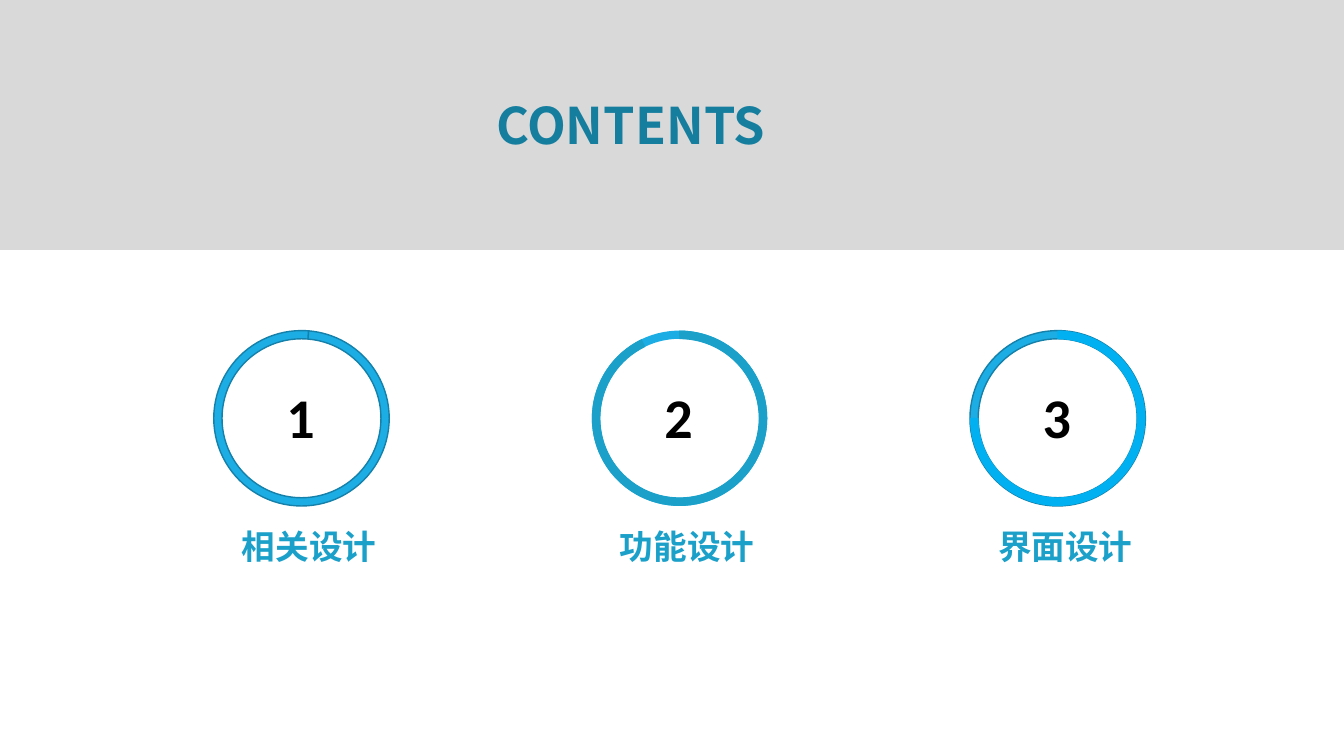
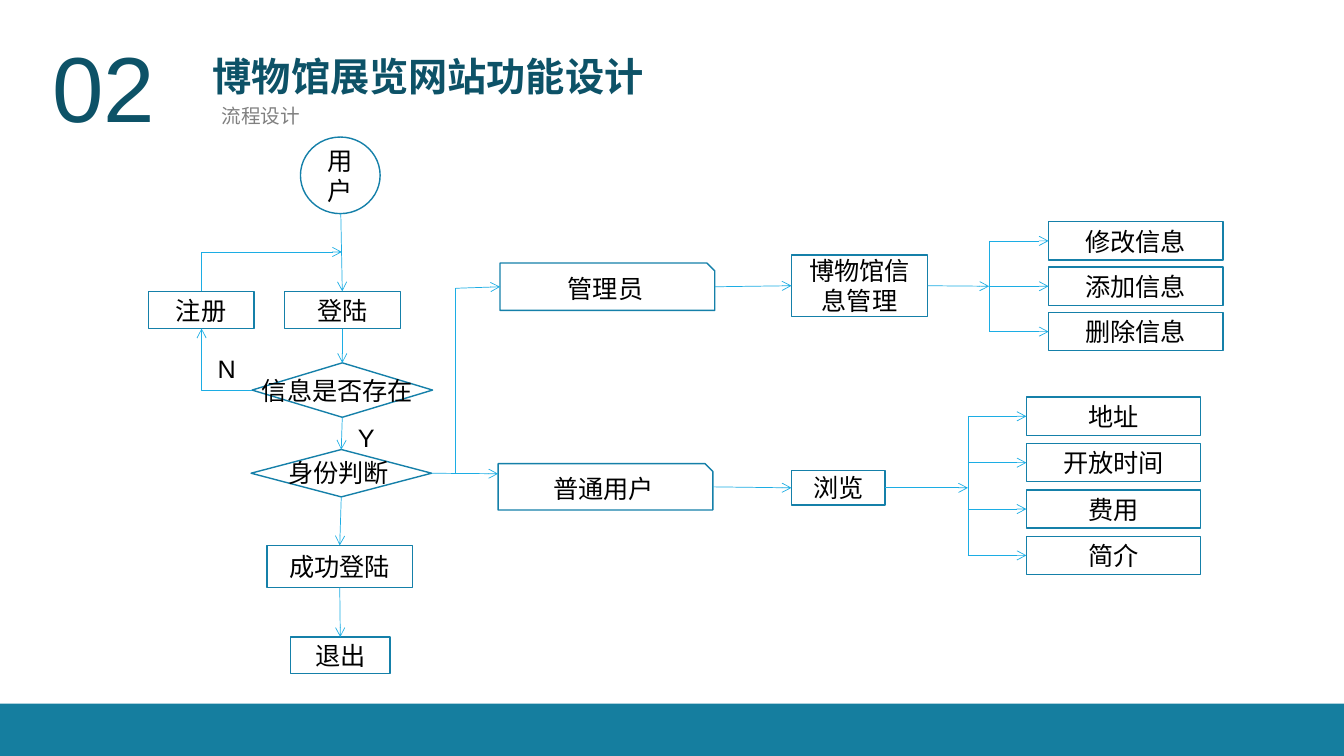
from lxml import etree
from pptx import Presentation
from pptx.dml.color import RGBColor
from pptx.enum.shapes import MSO_CONNECTOR, MSO_SHAPE
from pptx.enum.text import MSO_ANCHOR, MSO_AUTO_SIZE, PP_ALIGN
from pptx.oxml.ns import qn
from pptx.util import Inches, Pt

RECT, OVAL = MSO_SHAPE.RECTANGLE, MSO_SHAPE.OVAL
DIAMOND, SNIP = MSO_SHAPE.DIAMOND, MSO_SHAPE.SNIP_1_RECTANGLE
ARC = MSO_SHAPE.BLOCK_ARC
STRAIGHT, ELBOW = MSO_CONNECTOR.STRAIGHT, MSO_CONNECTOR.ELBOW
LEFT, CENTER = PP_ALIGN.LEFT, PP_ALIGN.CENTER
TOP, MIDDLE = MSO_ANCHOR.TOP, MSO_ANCHOR.MIDDLE
FIXED = MSO_AUTO_SIZE.NONE
UP, WEST, DOWN, EAST = range(4)
WIDE, HIGH = 13.33, 7.5

HEX = {
    "teal": "157E9F", "deep": "0D5267", "sea": "1BA0C9", "sky": "1CADE4",
    "azure": "00B0F0", "edge": "1580A9", "band": "D9D9D9", "grey": "808080",
    "black": "000000",
}
SANS, TRAD = "Noto Sans CJK SC", "Noto Sans CJK TC"
BODY, PLAIN = "Calibri", "Arial"

FULL = (213.236, 213.177, 0.047)
PARTS = [
    ("相关设计", [(FULL, "sky", "edge")]),
    ("功能设计", [(FULL, "sky", None), ((15.351, 0.134, 0.049), "sea", None)]),
    ("界面设计", [(FULL, "sky", "edge"), ((53.85, 0.134, 0.049), "azure", None)]),
]

NODES = [
    ("用户", OVAL, (2.98, 1.36, 0.79, 0.76)),
    ("注册", RECT, (1.47, 2.89, 1.05, 0.37)),
    ("登陆", RECT, (2.82, 2.89, 1.15, 0.37)),
    ("成功登陆", RECT, (2.65, 5.41, 1.44, 0.42)),
    ("退出", RECT, (2.88, 6.32, 0.99, 0.36)),
    ("管理员", SNIP, (4.96, 2.61, 2.13, 0.47)),
    ("普通用户", SNIP, (4.94, 4.6, 2.13, 0.46)),
    ("博物馆信息管理", RECT, (7.85, 2.53, 1.35, 0.61)),
    ("浏览", RECT, (7.85, 4.67, 0.93, 0.34)),
]
TESTS = [
    ("信息是否存在", (2.5, 3.6, 1.79, 0.54), (2.5, 3.67, 1.76, 0.4)),
    ("身份判断", (2.49, 4.46, 1.79, 0.47), (2.76, 4.49, 1.26, 0.4)),
]
MARKS = [("Y", (3.45, 4.14, 0.38, 0.4)), ("N", (2.06, 3.46, 0.38, 0.4))]
FANS = [
    (["修改信息", "添加信息", "删除信息"], 10.4, 2.2, 0.45, 9.81),
    (["地址", "开放时间", "费用", "简介"], 10.18, 3.94, 0.46, 9.6),
]
LINKS = [
    ((3.38, 2.12), ("登陆", UP)),
    (("登陆", DOWN), ("信息是否存在", UP)),
    (("信息是否存在", DOWN), ("身份判断", UP)),
    (("身份判断", DOWN), ("成功登陆", UP)),
    (("成功登陆", DOWN), ("退出", UP)),
    (("身份判断", EAST), (4.94, 4.7)),
    ((4.52, 2.86), ("管理员", WEST)),
    (("管理员", EAST), ("博物馆信息管理", WEST)),
    (("普通用户", EAST), ("浏览", WEST)),
    (("博物馆信息管理", EAST), (9.81, 2.84)),
    (("浏览", EAST), (9.6, 4.84)),
]


def color(name):
    return RGBColor.from_string(HEX[name])


def style(shape, text, size, font, tint, bold=False, align=LEFT, anchor=TOP):
    frame = shape.text_frame
    frame.word_wrap = True
    frame.auto_size = FIXED
    frame.vertical_anchor = anchor
    frame.text = text
    para = frame.paragraphs[0]
    para.alignment = align
    run = para.runs[0]
    run.font.size = Pt(size)
    run.font.name = font
    run.font.bold = bold
    run.font.color.rgb = color(tint)
    if font in (SANS, TRAD):
        face = etree.SubElement(run.font._element, qn("a:ea"))
        face.set("typeface", font)


def label(slide, text, box, *look, **more):
    shape = slide.shapes.add_textbox(*map(Inches, box))
    style(shape, text, *look, **more)


def title(slide, text, box, size, font, tint):
    shape = slide.shapes.title
    shape.left, shape.top, shape.width, shape.height = map(Inches, box)
    style(shape, text, size, font, tint, bold=True)


def draw(slide, kind, box, fill=None, edge=None):
    shape = slide.shapes.add_shape(kind, *map(Inches, box))
    shape.shadow.inherit = False
    if fill:
        shape.fill.solid()
        shape.fill.fore_color.rgb = color(fill)
    else:
        shape.fill.background()
    if edge:
        shape.line.color.rgb = color(edge)
        shape.line.width = Pt(1)
    else:
        shape.line.fill.background()
    return shape


def band(slide, top, height, tint):
    shape = draw(slide, RECT, (0, top, WIDE, height), tint)
    slide.shapes.title._element.addprevious(shape._element)


def node(slide, text, kind, box):
    shape = draw(slide, kind, box, edge="edge")
    style(shape, text, 18, BODY, "black", align=CENTER, anchor=MIDDLE)
    return shape


def wire(slide, start, end, kind=STRAIGHT, arrow=True):
    line = slide.shapes.add_connector(kind, *map(Inches, start + end))
    line.line.color.rgb = color("sky")
    line.line.width = Pt(0.5)
    if arrow:
        tip = etree.SubElement(line.line._get_or_add_ln(), qn("a:tailEnd"))
        tip.set("type", "arrow")
    etree.SubElement(line._element.spPr, qn("a:effectLst"))
    return line


def link(slide, nodes, start, end):
    spots = [(0, 0) if isinstance(p[0], str) else p for p in (start, end)]
    line = wire(slide, *spots)
    if isinstance(start[0], str):
        line.begin_connect(nodes[start[0]], start[1])
    if isinstance(end[0], str):
        line.end_connect(nodes[end[0]], end[1])


def bend(slide, start, end, turn=0):
    if turn:
        mid = [(a + b) / 2 for a, b in zip(start, end)]
        start, end = [
            (mid[0] + y - mid[1], mid[1] - x + mid[0]) for x, y in (start, end)
        ]
    line = wire(slide, start, end, ELBOW)
    props = line._element.spPr
    props.find(qn("a:prstGeom")).set("prst", "bentConnector2")
    if turn:
        props.find(qn("a:xfrm")).set("rot", str(turn * 60000))


def contents(slide):
    band(slide, 0, 2.48, "band")
    title(slide, "CONTENTS", (4.82, 0.88, 3.44, 0.71), 36, SANS, "teal")
    for i, (text, arcs) in enumerate(PARTS):
        x = 2.12 + 3.75 * i
        for bends, fill, edge in arcs:
            ring = draw(slide, ARC, (x, 3.28, 1.74, 1.74), fill, edge)
            ring.rotation = 270
            ring._element.spPr.find(qn("a:xfrm")).set("flipV", "1")
            for j, value in enumerate(bends):
                ring.adjustments[j] = value
        label(slide, str(i + 1), (x + 0.37, 3.75, 0.98, 0.77),
              40, BODY, "black", bold=True, align=CENTER)
        label(slide, text, (x + 0.18, 5.17, 2.21, 0.5),
              24, SANS, "sea", bold=True)


def flow(slide):
    band(slide, 6.98, 0.52, "teal")
    label(slide, "02", (0.42, 0.25, 2.03, 1.21), 66, PLAIN, "deep")
    title(slide, "博物馆展览网站功能设计", (2.01, 0.47, 4.5, 0.57), 28, TRAD, "deep")
    label(slide, "流程设计", (2.1, 0.98, 0.99, 0.34), 14, BODY, "grey")

    nodes = {item[0]: node(slide, *item) for item in NODES}
    for text, box, area in TESTS:
        nodes[text] = draw(slide, DIAMOND, box, edge="edge")
        label(slide, text, area, 18, PLAIN, "black")
    for text, box in MARKS:
        label(slide, text, box, 18, PLAIN, "black")

    for names, x, y, step, trunk in FANS:
        mids = []
        for i, name in enumerate(names):
            top = y + step * i
            nodes[name] = node(slide, name, RECT, (x, top, 1.73, 0.38))
            mids.append(top + 0.19)
            link(slide, nodes, (trunk, mids[-1]), (name, WEST))
        wire(slide, (trunk, mids[0]), (trunk, mids[-1]), arrow=False)

    for start, end in LINKS:
        link(slide, nodes, start, end)
    wire(slide, (4.52, 2.86), (4.52, 4.69), arrow=False)
    bend(slide, (2.5, 3.87), (2, 3.26))
    bend(slide, (2, 2.89), (3.39, 2.5), 90)


def main():
    deck = Presentation()
    deck.slide_width, deck.slide_height = Inches(WIDE), Inches(HIGH)
    for build in (contents, flow):
        build(deck.slides.add_slide(deck.slide_layouts[5]))
    deck.save("out.pptx")


if __name__ == "__main__":
    main()
